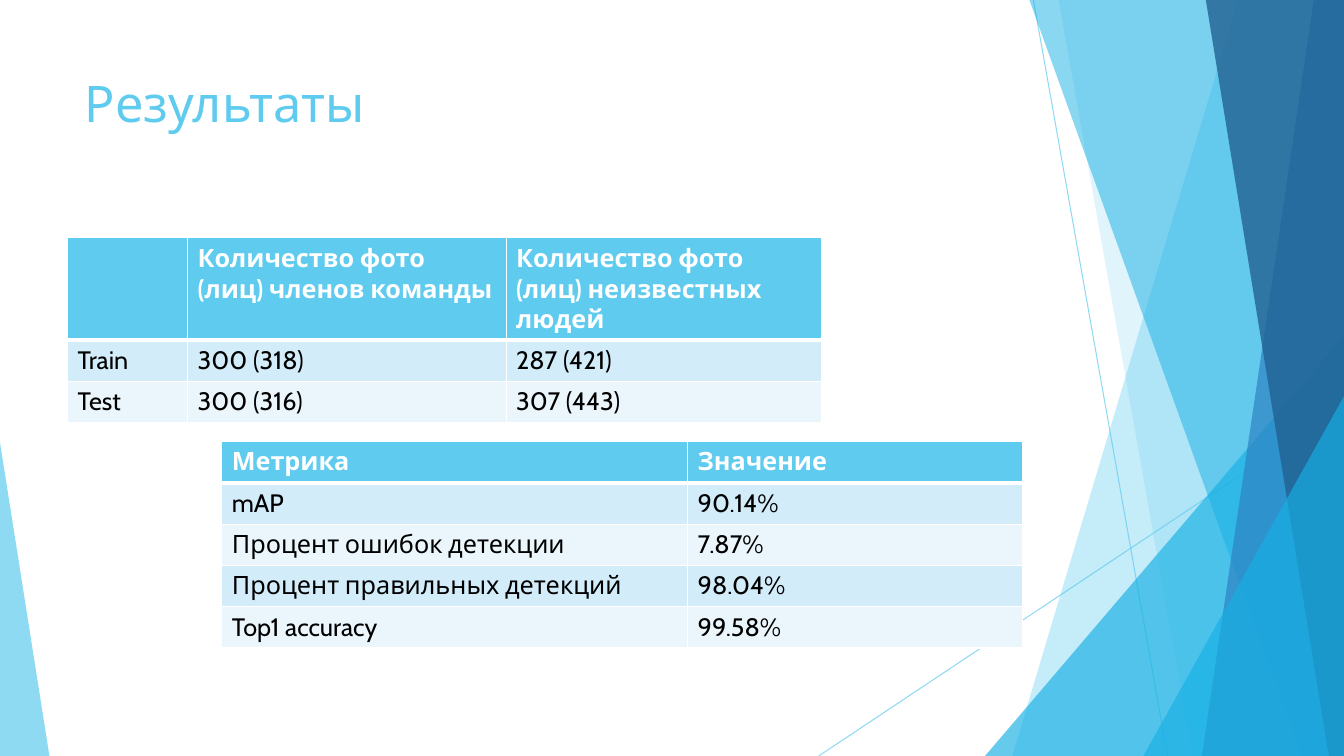
from lxml import etree
from pptx import Presentation
from pptx.dml.color import RGBColor
from pptx.enum.shapes import MSO_CONNECTOR, MSO_SHAPE
from pptx.enum.text import MSO_ANCHOR, PP_ALIGN
from pptx.oxml.ns import qn
from pptx.util import Inches, Pt

COLORS = {
    "sky": "5FCBEF",
    "cyan": "17B0E4",
    "blue": "2E83C3",
    "navy": "226292",
    "band_dark": "D2ECF9",
    "band_light": "EAF6FC",
    "white": "FFFFFF",
    "black": "000000",
}
FONT = "Cabin"
WIDTH, HEIGHT = 13.33, 7.5
ROW_HEIGHT = 0.41


def rgb(name):
    return RGBColor.from_string(COLORS[name])


def set_alpha(fill_parent, percent):
    color = fill_parent.find(qn("a:solidFill"))[0]
    etree.SubElement(color, qn("a:alpha"), val=str(percent * 1000))


def style_shape(sp, color, alpha):
    sp.shadow.inherit = False
    sp.fill.solid()
    sp.fill.fore_color.rgb = rgb(color)
    set_alpha(sp._element.spPr, alpha)
    sp.line.fill.background()


def add_ray(slide, x1, y1, x2, y2):
    ray = slide.shapes.add_connector(
        MSO_CONNECTOR.STRAIGHT, Inches(x1), Inches(y1), Inches(x2), Inches(y2))
    ray.line.width = Pt(0.75)
    ray.line.color.rgb = rgb("sky")
    spPr = ray._element.spPr
    set_alpha(spPr.find(qn("a:ln")), 70)
    etree.SubElement(spPr, qn("a:effectLst"))


def add_facet(slide, top_x, bottom_x, color, alpha):
    builder = slide.shapes.build_freeform(Inches(top_x), 0, scale=1.0)
    corners = [(WIDTH, 0), (WIDTH, HEIGHT), (bottom_x, HEIGHT)]
    builder.add_line_segments([(Inches(x), Inches(y)) for x, y in corners])
    style_shape(builder.convert_to_shape(), color, alpha)


def add_triangle(slide, left, top, width, apex, color, alpha):
    sp = slide.shapes.add_shape(
        MSO_SHAPE.ISOSCELES_TRIANGLE, Inches(left), Inches(top),
        Inches(width), Inches(HEIGHT - top))
    sp.adjustments[0] = apex
    style_shape(sp, color, alpha)


def add_background(slide):
    add_ray(slide, 10.25, 0, 11.58, HEIGHT)
    add_ray(slide, WIDTH, 4.03, 8.12, HEIGHT)
    add_facet(slide, 12.28, 10.04, "sky", 36)
    add_facet(slide, 10.5, 11.83, "sky", 20)
    add_triangle(slide, 9.77, 3.33, 3.56, 1, "cyan", 66)
    add_facet(slide, 10.21, 12.91, "cyan", 50)
    add_facet(slide, 13.03, 11.92, "blue", 70)
    add_facet(slide, 11.96, 13.18, "navy", 80)
    add_triangle(slide, 11.34, 3.93, 1.99, 1, "cyan", 66)
    add_triangle(slide, 0, 4.39, 0.49, 0, "sky", 70)


def write_text(tf, text, size=18, color="black", bold=False):
    p = tf.paragraphs[0]
    p.alignment = PP_ALIGN.LEFT
    p.font.size = Pt(size)
    if text:
        r = p.add_run()
        r.text = text
        r.font.name = FONT
        r.font.size = Pt(size)
        r.font.bold = bold
        r.font.color.rgb = rgb(color)


def add_title(slide, text):
    title = slide.shapes.title
    title.left, title.top = Inches(0.74), Inches(0.67)
    title.width, title.height = Inches(9.4), Inches(1.44)
    title.text_frame.vertical_anchor = MSO_ANCHOR.TOP
    write_text(title.text_frame, text, size=36, color="sky")


def set_borders(cell, **widths):
    tcPr = cell._tc.get_or_add_tcPr()
    for i, (side, width) in enumerate(widths.items()):
        ln = etree.Element(qn(f"a:ln{side}"), w=str(Pt(width)))
        fill = etree.SubElement(ln, qn("a:solidFill"))
        etree.SubElement(fill, qn("a:srgbClr"), val=COLORS["white"])
        tcPr.insert(i, ln)


def add_data_table(slide, left, top, col_widths, rows, header_height=ROW_HEIGHT):
    heights = [header_height] + [ROW_HEIGHT] * (len(rows) - 1)
    table = slide.shapes.add_table(
        len(rows), len(col_widths), Inches(left), Inches(top),
        Inches(sum(col_widths)), Inches(sum(heights))).table
    for column, width in zip(table.columns, col_widths):
        column.width = Inches(width)
    for i, values in enumerate(rows):
        table.rows[i].height = Inches(heights[i])
        header = i == 0
        band = "sky" if header else ("band_light", "band_dark")[i % 2]
        for j, text in enumerate(values):
            cell = table.cell(i, j)
            cell.fill.solid()
            cell.fill.fore_color.rgb = rgb(band)
            set_borders(cell, L=1, R=1, T=3 if i == 1 else 1, B=3 if header else 1)
            write_text(cell.text_frame, text,
                       color="white" if header else "black", bold=header)


def main():
    prs = Presentation()
    prs.slide_width, prs.slide_height = Inches(WIDTH), Inches(HEIGHT)
    slide = prs.slides.add_slide(prs.slide_layouts[5])
    add_background(slide)
    add_title(slide, "Результаты")
    add_data_table(slide, 0.67, 2.36, [1.19, 3.16, 3.13], [
        ["", "Количество фото (лиц) членов команды",
         "Количество фото (лиц) неизвестных людей"],
        ["Train", "300 (318)", "287 (421)"],
        ["Test", "300 (316)", "307 (443)"],
    ], header_height=1.01)
    add_data_table(slide, 2.2, 4.38, [4.62, 3.32], [
        ["Метрика", "Значение"],
        ["mAP", "90.14%"],
        ["Процент ошибок детекции", "7.87%"],
        ["Процент правильных детекций", "98.04%"],
        ["Top1 accuracy", "99.58%"],
    ])
    prs.save("out.pptx")


if __name__ == "__main__":
    main()
